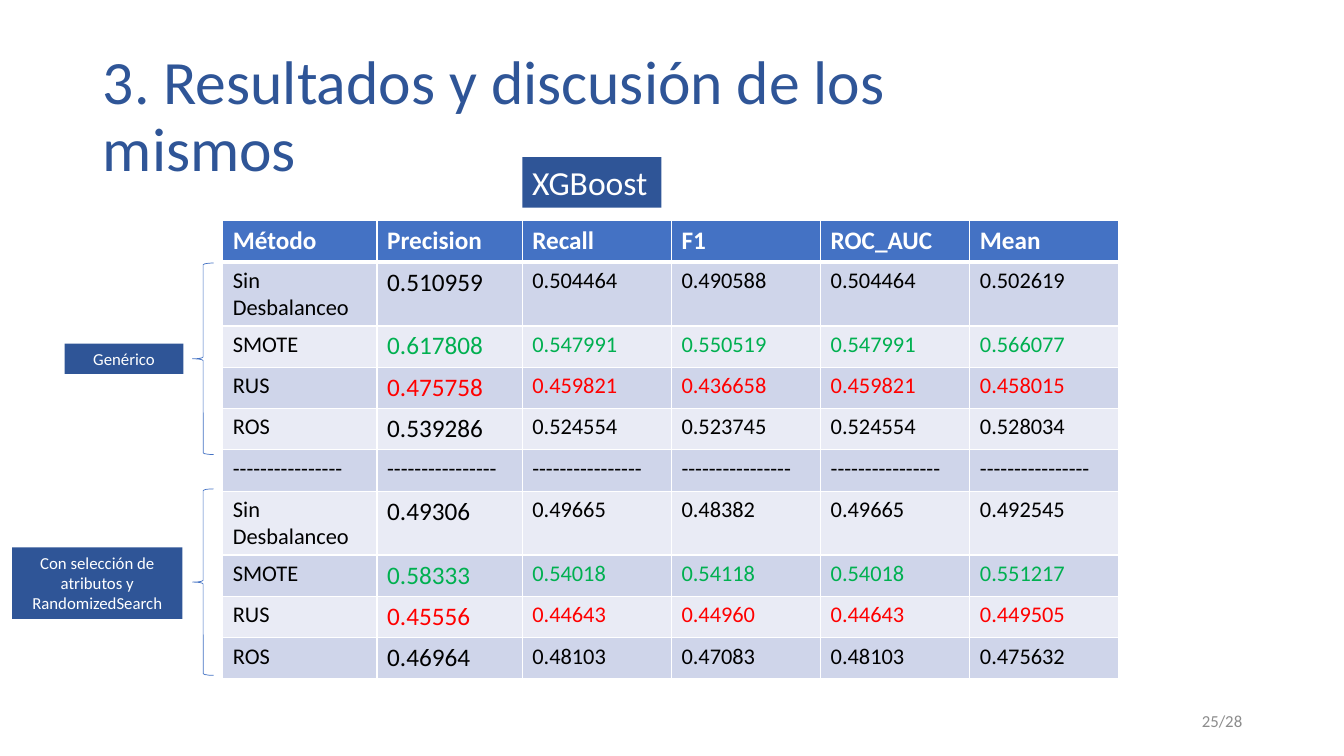
import pptx
import pptx.dml.color
import pptx.enum.shapes
import pptx.enum.text
import pptx.oxml
import pptx.oxml.ns
import pptx.util
from pptx.util import Inches


class Theme:
    font = "Calibri"
    navy, blue, white, black = "2F5597", "4472C4", "FFFFFF", "000000"
    band_dark, band_light = "CFD5EA", "E9EBF5"
    best, worst, muted = "00B050", "FF0000", "8C8C8C"
    title, label, strong, body, small = 44, 24, 18, 16, 12


ALIGN = pptx.enum.text.PP_ALIGN
ANCHOR = pptx.enum.text.MSO_ANCHOR
SHAPE = pptx.enum.shapes.MSO_SHAPE


def write(frame, text, size, color, bold=False, align=ALIGN.LEFT,
          anchor=ANCHOR.TOP, spacing=None):
    frame.word_wrap = True
    frame.vertical_anchor = anchor
    para = frame.paragraphs[0]
    para.alignment = align
    para.line_spacing = spacing
    span = para.add_run()
    span.text = text
    span.font.name = Theme.font
    span.font.size = pptx.util.Pt(size)
    span.font.bold = bold
    span.font.color.rgb = pptx.dml.color.RGBColor.from_string(color)


def set_borders(cell, bottom):
    properties = cell._tc.get_or_add_tcPr()
    widths = {"lnL": 1, "lnR": 1, "lnT": 1, "lnB": bottom}
    for position, (side, width) in enumerate(widths.items()):
        line = pptx.oxml.parse_xml(
            f'<a:{side} {pptx.oxml.ns.nsdecls("a")} w="{pptx.util.Pt(width)}">'
            f'<a:solidFill><a:srgbClr val="{Theme.white}"/></a:solidFill></a:{side}>')
        properties.insert(position, line)


deck = pptx.Presentation()
deck.slide_width, deck.slide_height = Inches(13.33), Inches(7.5)
page = deck.slides.add_slide(deck.slide_layouts[5])

# Title
title = page.shapes.title
title.left, title.top = Inches(0.92), Inches(0.4)
title.width, title.height = Inches(9.9), Inches(1.54)
title.text_frame.auto_size = pptx.enum.text.MSO_AUTO_SIZE.NONE
write(title.text_frame, "3. Resultados y discusión de los mismos", Theme.title,
      Theme.navy, anchor=ANCHOR.MIDDLE, spacing=0.9)

# Page number
number = page.shapes.add_textbox(Inches(9.42), Inches(6.95), Inches(3), Inches(0.4))
write(number.text_frame, "25/28", Theme.small, Theme.muted,
      align=ALIGN.RIGHT, anchor=ANCHOR.MIDDLE)

# Results table
results = [
    ("Método", "Precision", "Recall", "F1", "ROC_AUC", "Mean"),
    ("Sin Desbalanceo", "0.510959", "0.504464", "0.490588", "0.504464", "0.502619"),
    ("SMOTE", "0.617808", "0.547991", "0.550519", "0.547991", "0.566077"),
    ("RUS", "0.475758", "0.459821", "0.436658", "0.459821", "0.458015"),
    ("ROS", "0.539286", "0.524554", "0.523745", "0.524554", "0.528034"),
    ("-" * 16,) * 6,
    ("Sin Desbalanceo", "0.49306", "0.49665", "0.48382", "0.49665", "0.492545"),
    ("SMOTE", "0.58333", "0.54018", "0.54118", "0.54018", "0.551217"),
    ("RUS", "0.45556", "0.44643", "0.44960", "0.44643", "0.449505"),
    ("ROS", "0.46964", "0.48103", "0.47083", "0.48103", "0.475632"),
]
row_height = 0.41
table = page.shapes.add_table(len(results), 6, Inches(2.21), Inches(2.19),
                              Inches(8.89), Inches(row_height * len(results))).table
for column, width in zip(table.columns, (1.53, 1.44, 1.48, 1.48, 1.48, 1.48)):
    column.width = Inches(width)

value_colors = {"SMOTE": Theme.best, "RUS": Theme.worst}
for r, row in enumerate(results):
    table.rows[r].height = Inches(row_height)
    header = r == 0
    separator = row[0].startswith("-")
    band = Theme.band_dark if r % 2 else Theme.band_light
    for c, text in enumerate(row):
        cell = table.cell(r, c)
        cell.fill.solid()
        cell.fill.fore_color.rgb = pptx.dml.color.RGBColor.from_string(
            Theme.blue if header else band)
        set_borders(cell, bottom=3 if header else 1)
        color = value_colors.get(row[0], Theme.black) if c else Theme.black
        large = header or (c == 1 and not separator)
        write(cell.text_frame, text, Theme.strong if large else Theme.body,
              Theme.white if header else color, bold=header)

# Braces grouping the rows
for top, height in ((2.61, 1.9), (4.85, 1.85)):
    brace = page.shapes.add_shape(SHAPE.LEFT_BRACE, Inches(1.91), Inches(top),
                                  Inches(0.21), Inches(height))
    brace.shadow.inherit = False
    brace.fill.background()
    brace.line.color.rgb = pptx.dml.color.RGBColor.from_string(Theme.blue)
    brace.line.width = pptx.util.Pt(0.5)

# Labels for the model and the row groups
labels = [
    ("Genérico", 0.64, 3.41, 1.18, 0.3, Theme.small, ALIGN.CENTER),
    ("Con selección de atributos y RandomizedSearch",
     0.12, 5.43, 1.69, 0.71, Theme.small, ALIGN.CENTER),
    ("XGBoost", 5.18, 1.56, 1.38, 0.5, Theme.label, ALIGN.LEFT),
]
for text, left, top, width, height, size, align in labels:
    box = page.shapes.add_shape(SHAPE.RECTANGLE, Inches(left), Inches(top),
                                Inches(width), Inches(height))
    box.shadow.inherit = False
    box.fill.solid()
    box.fill.fore_color.rgb = pptx.dml.color.RGBColor.from_string(Theme.navy)
    box.line.fill.background()
    box.text_frame.auto_size = pptx.enum.text.MSO_AUTO_SIZE.SHAPE_TO_FIT_TEXT
    write(box.text_frame, text, size, Theme.white, align=align)

deck.save("out.pptx")
